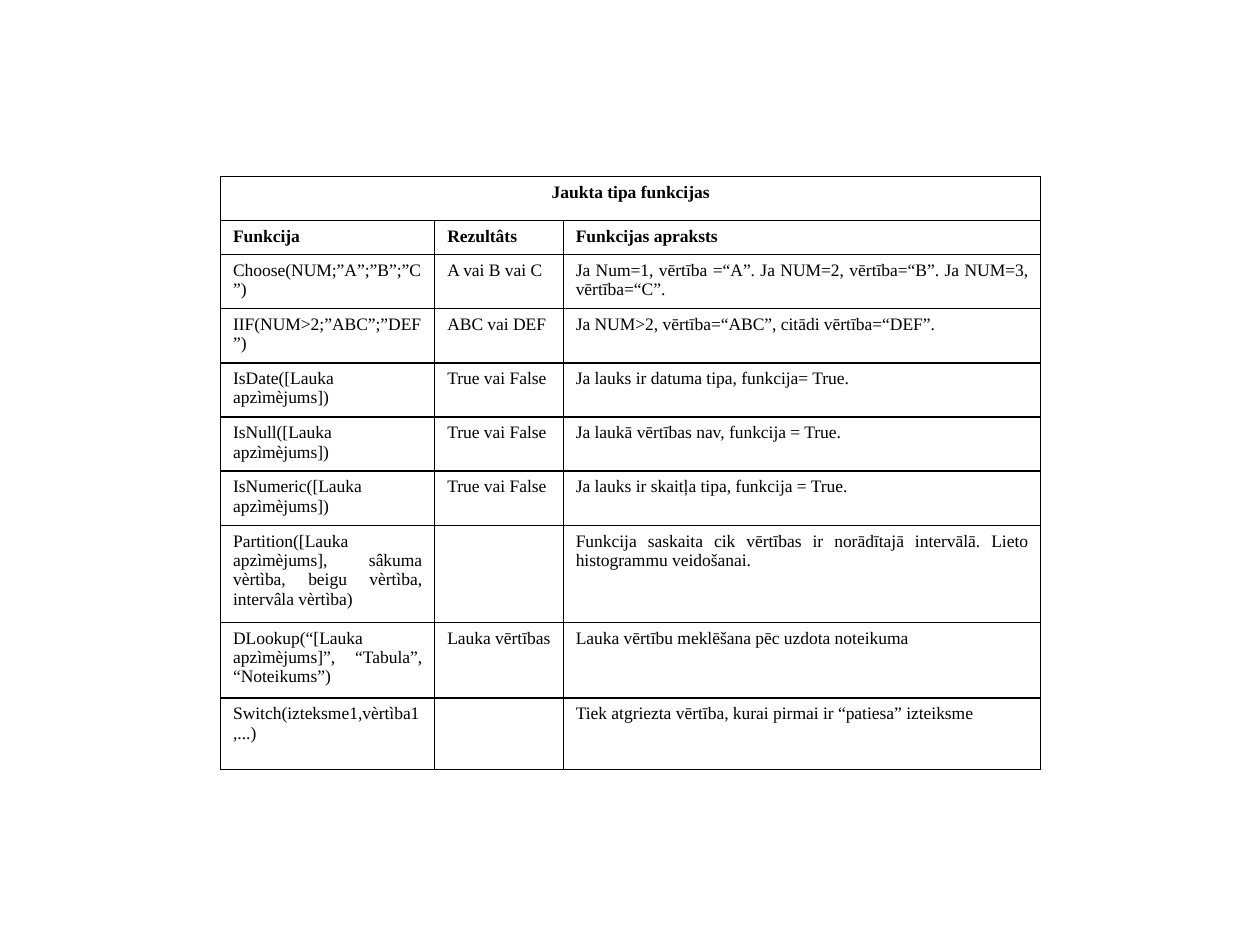
from lxml import etree
from pptx import Presentation, util as u
from pptx.dml.color import RGBColor
from pptx.enum import text
from pptx.oxml.ns import qn

BLACK = RGBColor(0, 0, 0)
THICK, THIN = u.Pt(0.96), u.Pt(0.34)
COLUMNS = [1.7, 1.02, 3.79]
ROWS = [0.35, 0.27] + [0.43] * 5 + [0.77, 0.6, 0.57]
FUNCTIONS = [
    ("Jaukta tipa funkcijas", "", ""),
    ("Funkcija", "Rezultâts", "Funkcijas apraksts"),
    ("Choose(NUM;”A”;”B”;”C”)", "A vai B vai C",
     "Ja Num=1, vērtība =“A”. Ja NUM=2, vērtība=“B”. Ja NUM=3, vērtība=“C”."),
    ("IIF(NUM>2;”ABC”;”DEF”)", "ABC vai DEF",
     "Ja NUM>2, vērtība=“ABC”, citādi vērtība=“DEF”."),
    ("IsDate([Lauka apzìmèjums])", "True vai False",
     "Ja lauks ir datuma tipa, funkcija= True."),
    ("IsNull([Lauka apzìmèjums])", "True vai False",
     "Ja laukā vērtības nav, funkcija = True."),
    ("IsNumeric([Lauka apzìmèjums])", "True vai False",
     "Ja lauks ir skaitļa tipa, funkcija = True."),
    ("Partition([Lauka apzìmèjums], sâkuma vèrtìba, beigu vèrtìba, intervâla vèrtìba)", "",
     "Funkcija saskaita cik vērtības ir norādītajā intervālā. Lieto histogrammu veidošanai."),
    ("DLookup(“[Lauka apzìmèjums]”, “Tabula”, “Noteikums”)", "Lauka vērtības",
     "Lauka vērtību meklēšana pēc uzdota noteikuma"),
    ("Switch(izteksme1,vèrtìba1,...)", "",
     "Tiek atgriezta vērtība, kurai pirmai ir “patiesa” izteiksme"),
]


def add_border(cell, side, width):
    line = etree.SubElement(cell._tc.get_or_add_tcPr(), qn(f"a:ln{side}"), w=str(int(width)))
    fill = etree.SubElement(line, qn("a:solidFill"))
    etree.SubElement(fill, qn("a:srgbClr"), val=str(BLACK))


prs = Presentation()
prs.slide_width, prs.slide_height = u.Inches(10), u.Inches(7.5)
slide = prs.slides.add_slide(prs.slide_layouts[6])

functions = slide.shapes.add_table(
    len(ROWS), len(COLUMNS), u.Inches(1.75), u.Inches(1.4),
    u.Inches(sum(COLUMNS)), u.Inches(sum(ROWS))).table
functions.first_row = functions.horz_banding = False
for column, width in zip(functions.columns, COLUMNS):
    column.width = u.Inches(width)
for row, height in zip(functions.rows, ROWS):
    row.height = u.Inches(height)
functions.cell(0, 0).merge(functions.cell(0, 2))

for r, entries in enumerate(FUNCTIONS):
    for c, entry in enumerate(entries):
        cell = functions.cell(r, c)
        add_border(cell, "L", THICK if c == 0 or r == 0 else THIN)
        add_border(cell, "R", THICK if c == 2 or r == 0 else THIN)
        add_border(cell, "T", THICK)
        add_border(cell, "B", THICK)
        cell.fill.background()
        if not entry:
            continue
        cell.text_frame.text = entry
        paragraph = cell.text_frame.paragraphs[0]
        if r == 0:
            paragraph.alignment = text.PP_ALIGN.CENTER
        elif r > 1:
            paragraph.alignment = text.PP_ALIGN.JUSTIFY
        font = paragraph.runs[0].font
        font.name, font.size, font.bold = "Times New Roman", u.Pt(10), r < 2
        font.color.rgb = BLACK

prs.save("out.pptx")
